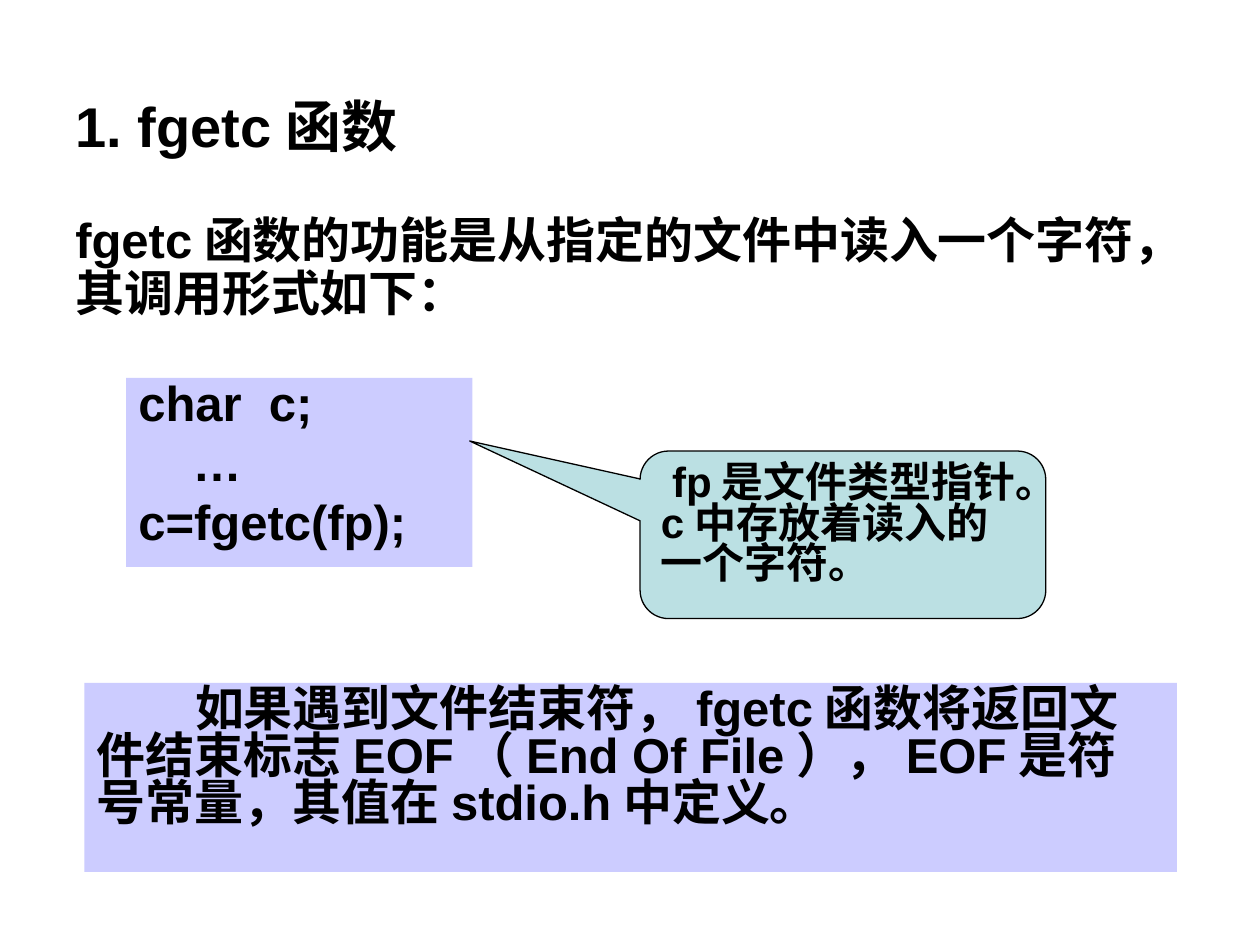
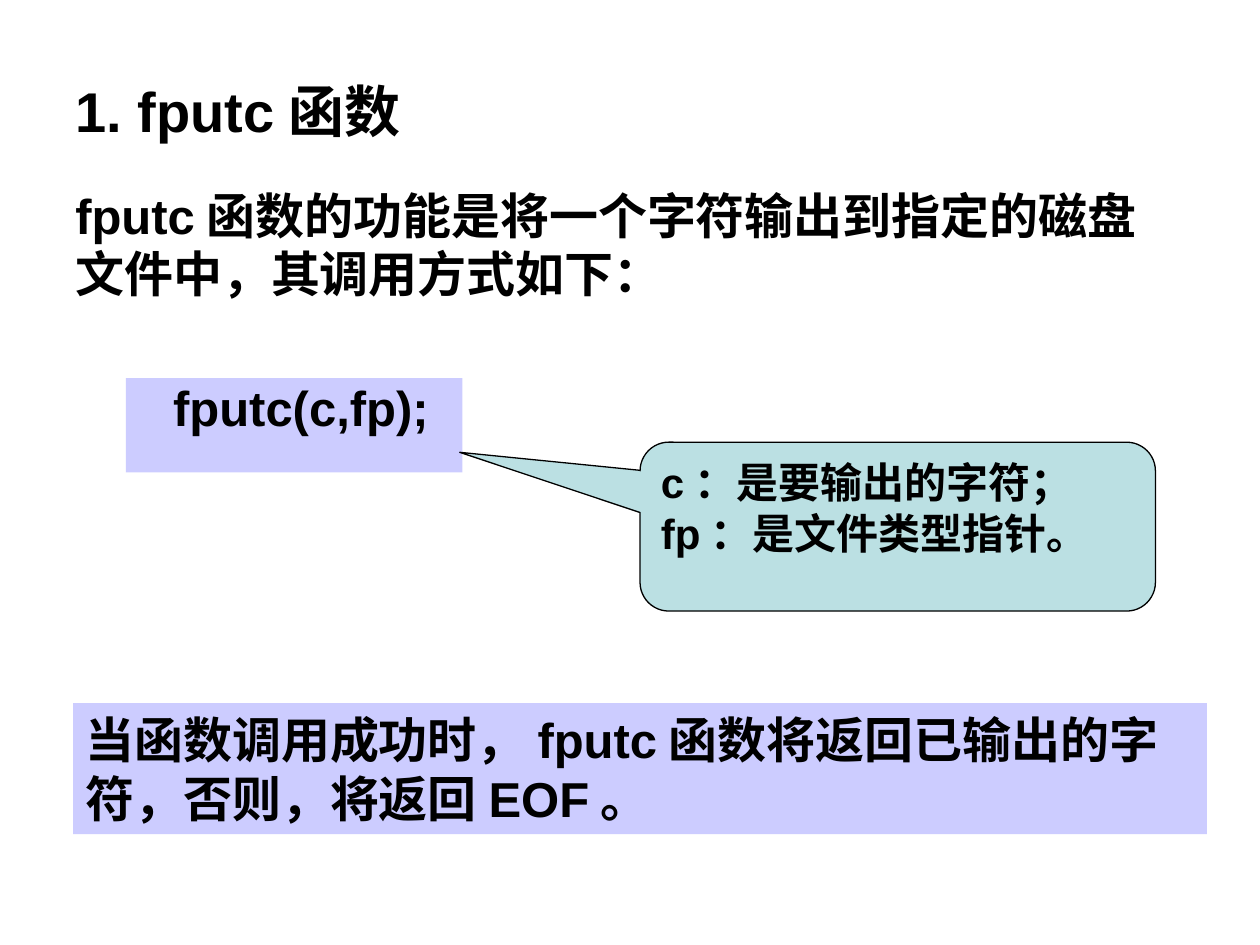
from pptx import Presentation
from pptx.dml.color import RGBColor
from pptx.enum.shapes import MSO_SHAPE
from pptx.enum.text import MSO_ANCHOR, MSO_AUTO_SIZE, PP_ALIGN
from pptx.util import Inches, Pt

BLACK = RGBColor(0x00, 0x00, 0x00)
LAVENDER = RGBColor(0xCC, 0xCC, 0xFF)
PALE_TEAL = RGBColor(0xBB, 0xE0, 0xE3)

TITLE_ONLY = 5
TITLE_SIZE, BODY_SIZE, CALLOUT_SIZE = 32, 28, 24
CONTENT_LEFT, CONTENT_WIDTH = 0.5, 9
FONT = {"name": "Arial", "bold": True}
FRAME = {
    "word_wrap": True,
    "auto_size": MSO_AUTO_SIZE.NONE,
    "margin_left": Inches(0.1),
    "margin_right": Inches(0.1),
    "margin_top": Inches(0.05),
    "margin_bottom": Inches(0.05),
}


def apply_format(target, values):
    for name, value in values.items():
        setattr(target, name, value)


class FunctionSlide:
    def __init__(self, presentation):
        layout = presentation.slide_layouts[TITLE_ONLY]
        self.slide = presentation.slides.add_slide(layout)

    def fill_text(self, shape, lines, size, line_spacing=1.0, indent=0,
                  alignment=PP_ALIGN.LEFT, anchor=MSO_ANCHOR.TOP):
        """Fill a shape with paragraphs; indent moves each first line, in inches."""
        frame = shape.text_frame
        apply_format(frame, {**FRAME, "vertical_anchor": anchor})
        for index, line in enumerate(lines):
            paragraph = frame.add_paragraph() if index else frame.paragraphs[0]
            paragraph.text = line
            apply_format(paragraph, {
                "alignment": alignment,
                "line_spacing": line_spacing,
                "space_before": Pt(7 if index else 0),
            })
            if indent:
                paragraph._p.get_or_add_pPr().set("indent", str(Inches(indent)))
            apply_format(paragraph.font, {**FONT, "size": Pt(size)})
            paragraph.font.color.rgb = BLACK

    def title(self, text, height):
        title = self.slide.shapes.title
        apply_format(title, {
            "left": Inches(CONTENT_LEFT), "top": Inches(0.3),
            "width": Inches(CONTENT_WIDTH), "height": Inches(height),
        })
        self.fill_text(title, [text], TITLE_SIZE, anchor=MSO_ANCHOR.MIDDLE)
        # The heading sits slightly below the middle of its box.
        title.text_frame.margin_top = Inches(0.19)

    def introduction(self, text, top, **style):
        box = self.slide.shapes.add_textbox(
            Inches(CONTENT_LEFT), Inches(top), Inches(CONTENT_WIDTH), Inches(1.08))
        self.fill_text(box, [text], BODY_SIZE, **style)

    def filled_shape(self, kind, place, color):
        shape = self.slide.shapes.add_shape(kind, *map(Inches, place))
        shape.shadow.inherit = False
        shape.fill.solid()
        shape.fill.fore_color.rgb = color
        shape.line.fill.background()
        return shape

    def panel(self, lines, place, **style):
        shape = self.filled_shape(MSO_SHAPE.RECTANGLE, place, LAVENDER)
        self.fill_text(shape, lines, BODY_SIZE, **style)

    def callout(self, text, place, tip, **style):
        """Add a rounded callout; tip is relative to its centre and size."""
        shape = self.filled_shape(
            MSO_SHAPE.ROUNDED_RECTANGULAR_CALLOUT, place, PALE_TEAL)
        shape.line.color.rgb = BLACK
        shape.line.width = Pt(0.75)
        for index, value in enumerate((*tip, 0.17)):
            shape.adjustments[index] = value
        self.fill_text(shape, [text], CALLOUT_SIZE, **style)


def add_fgetc_slide(presentation):
    page = FunctionSlide(presentation)
    page.title("1. fgetc函数", 1.25)
    page.introduction("fgetc函数的功能是从指定的文件中读入一个字符，其调用形式如下：",
                      1.67, line_spacing=0.9)
    page.panel(["char  c;", "    …", "c=fgetc(fp);"], (1, 3, 2.75, 1.5),
               line_spacing=0.8)
    page.panel(["如果遇到文件结束符，fgetc函数将返回文件结束标志EOF（End Of File），"
                "EOF是符号常量，其值在stdio.h中定义。"],
               (0.67, 5.42, 8.67, 1.5), line_spacing=0.8, indent=0.78)
    page.callout("fp是文件类型指针。c中存放着读入的一个字符。",
                 (5.08, 3.58, 3.22, 1.33), (-0.92, -0.56),
                 line_spacing=0.8, indent=0.09)


def add_fputc_slide(presentation):
    page = FunctionSlide(presentation)
    page.title("1. fputc函数", 1.01)
    page.introduction("fputc函数的功能是将一个字符输出到指定的磁盘文件中，其调用方式如下：",
                      1.42)
    page.panel(["当函数调用成功时，fputc函数将返回已输出的字符，否则，将返回EOF。"],
               (0.58, 5.58, 9, 1.04))
    page.panel([" fputc(c,fp);"], (1, 3, 2.67, 0.75),
               line_spacing=0.9, alignment=PP_ALIGN.CENTER)
    page.callout("c：是要输出的字符；fp：是文件类型指针。",
                 (5.08, 3.51, 4.09, 1.34), (-0.85, -0.44))


def main():
    presentation = Presentation()
    presentation.slide_width = Inches(10)
    presentation.slide_height = Inches(7.5)
    add_fgetc_slide(presentation)
    add_fputc_slide(presentation)
    presentation.save("out.pptx")


if __name__ == "__main__":
    main()
